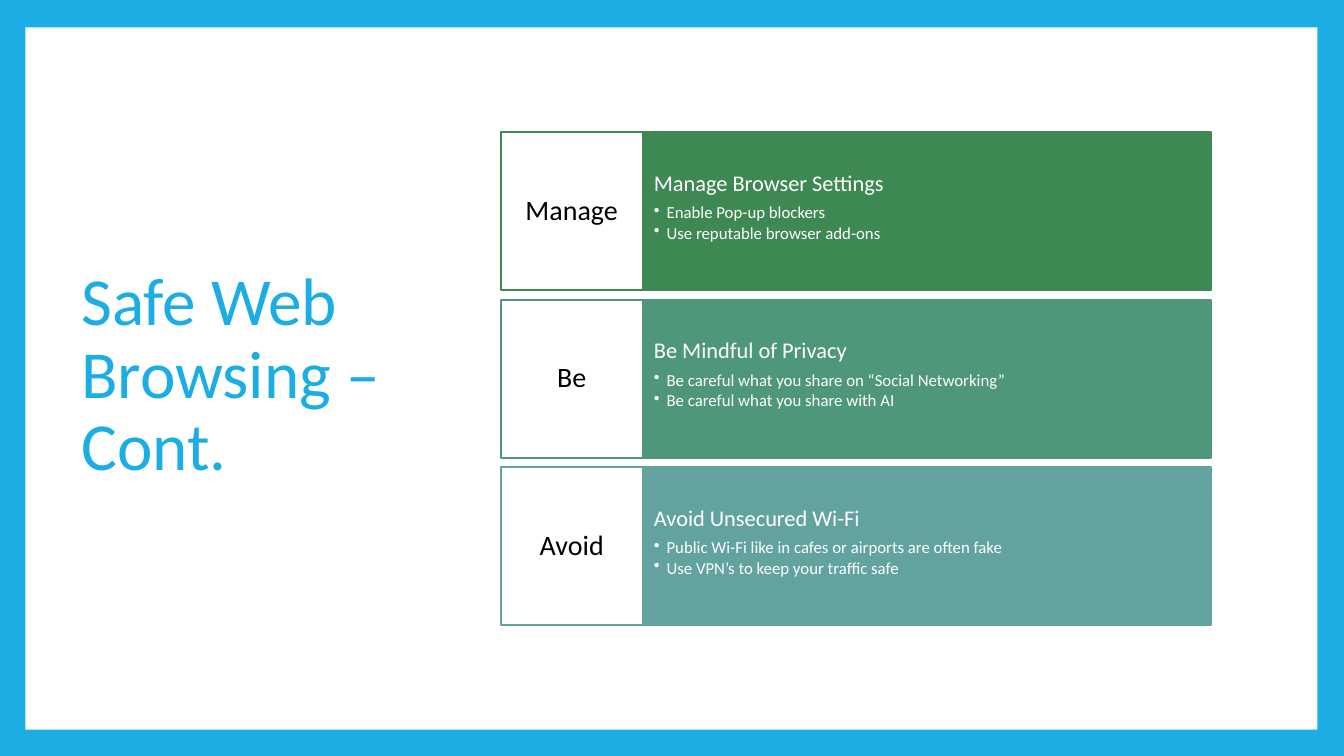
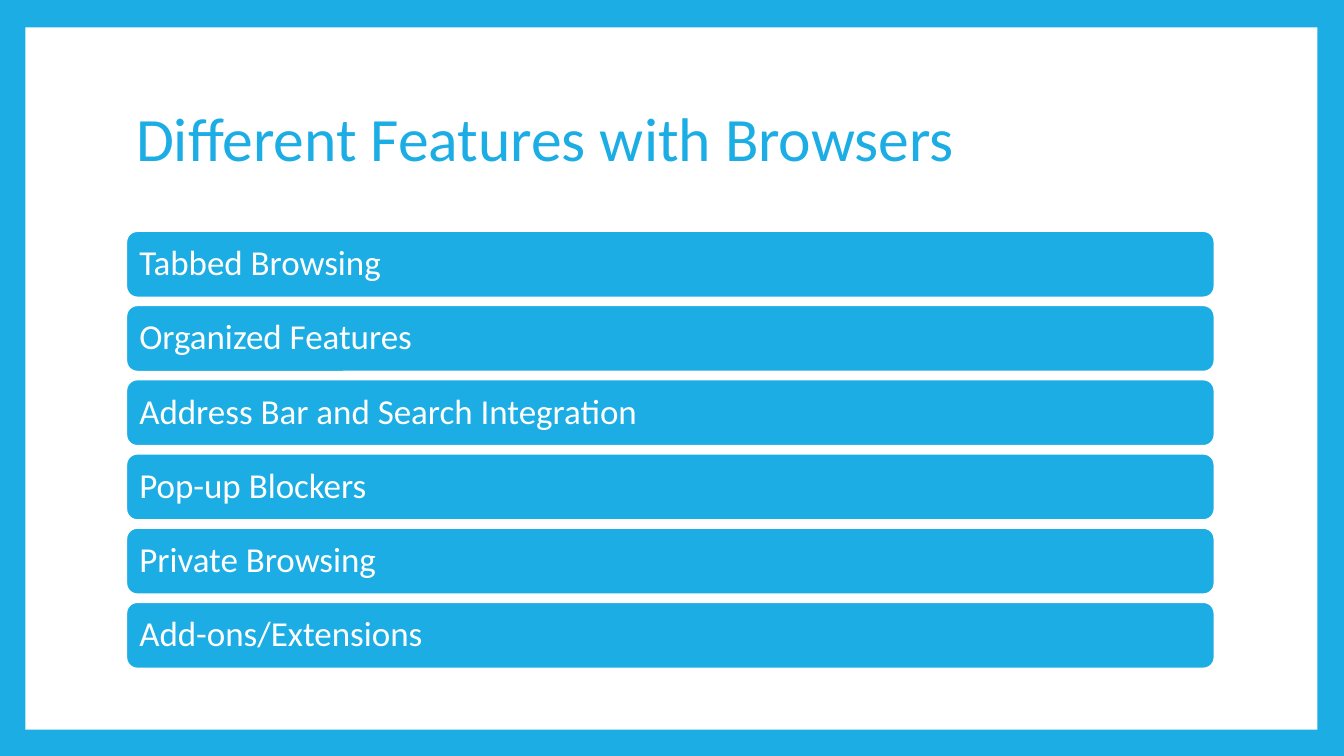
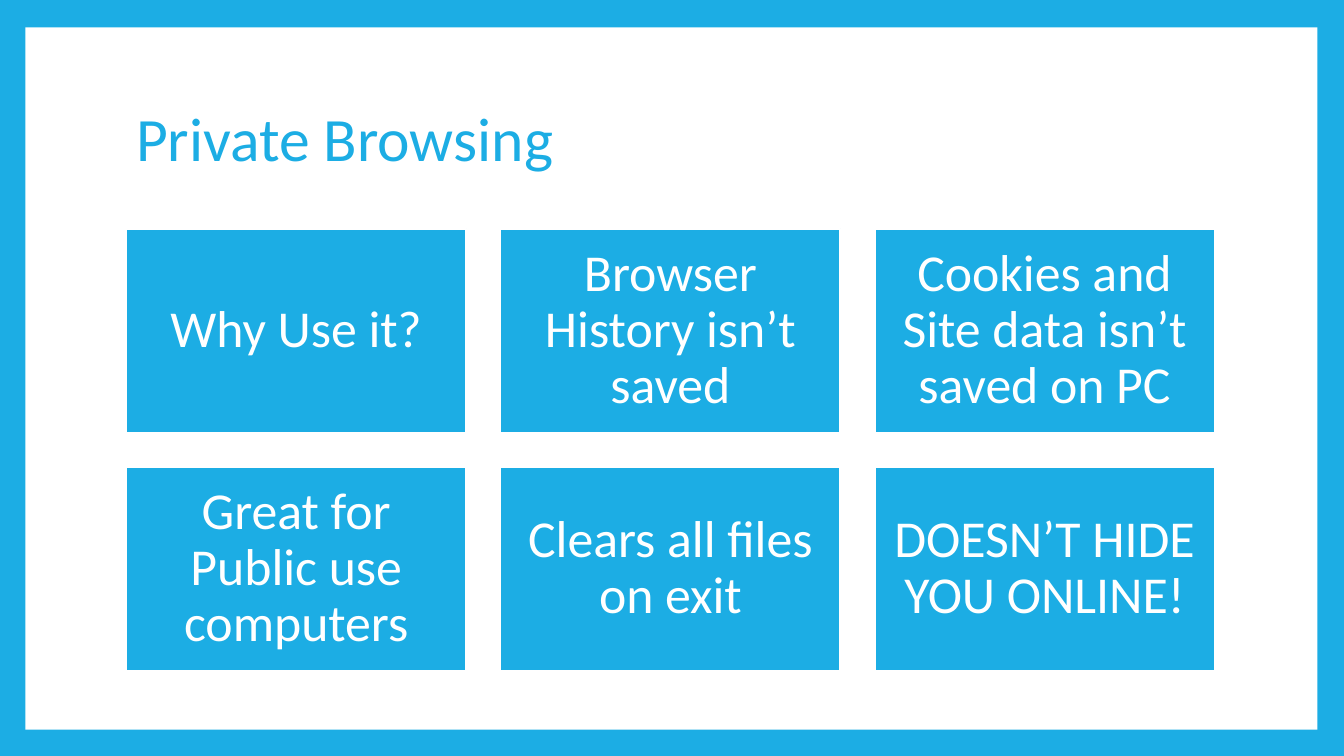
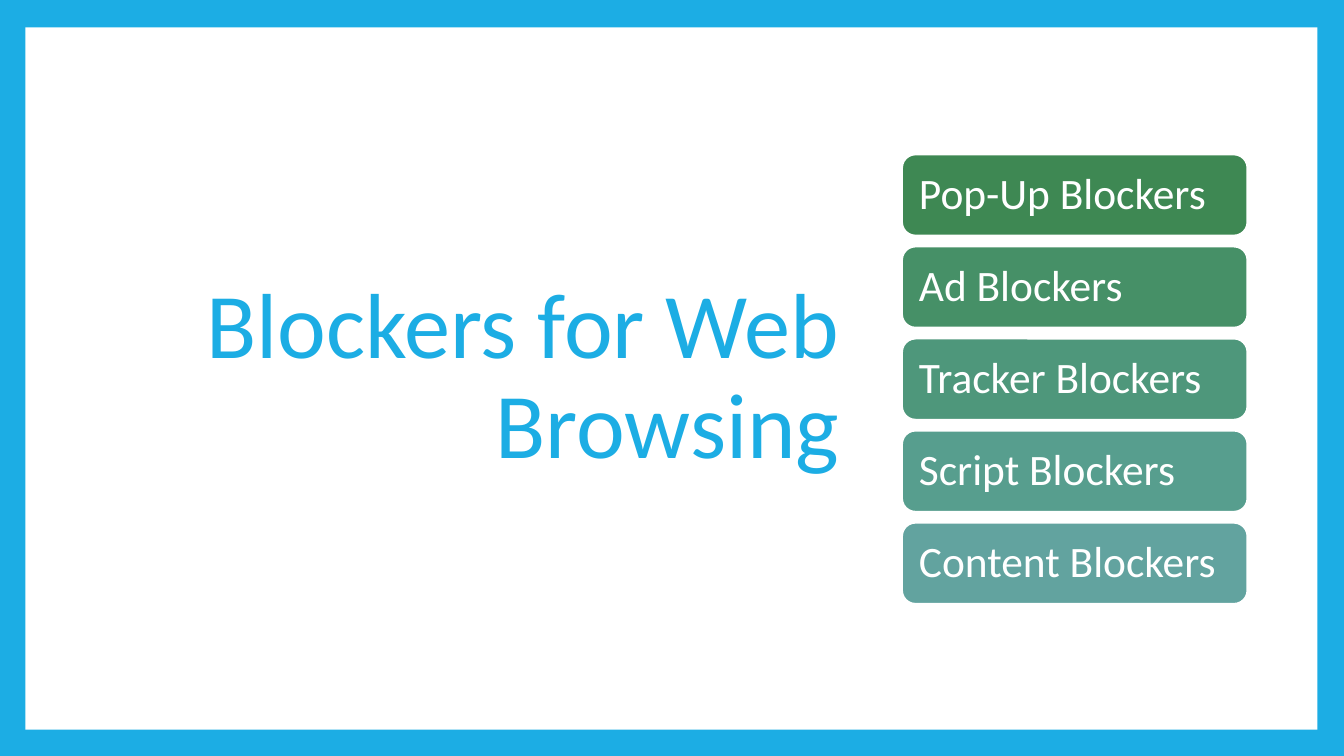
from dataclasses import dataclass
from typing import Any, Iterator, NamedTuple

from lxml.etree import SubElement
from pptx import Presentation
from pptx.dml.color import RGBColor
from pptx.enum.shapes import MSO_SHAPE
from pptx.enum.text import MSO_ANCHOR, PP_ALIGN
from pptx.oxml.ns import qn
from pptx.util import Cm, Pt


@dataclass(frozen=True)
class Theme:
    font: str = "Calibri"
    blue: RGBColor = RGBColor(0x1C, 0xAD, 0xE4)
    white: RGBColor = RGBColor(0xFF, 0xFF, 0xFF)
    black: RGBColor = RGBColor(0x00, 0x00, 0x00)
    greens: tuple[RGBColor, ...] = tuple(
        RGBColor.from_string(shade)
        for shade in ("3E8853", "469067", "4E977B", "579E8E", "62A39F")
    )
    outline: float = 1.5
    side_title: int = 48
    top_title: int = 44
    large_title: int = 66
    topic: int = 20
    heading: int = 16
    detail: int = 12
    feature: int = 25
    card: int = 37
    blocker: int = 31


THEME = Theme()


class Area(NamedTuple):
    left: float
    top: float
    width: float
    height: float


class Line(NamedTuple):
    text: str
    size: int
    color: RGBColor = THEME.white
    align: PP_ALIGN = PP_ALIGN.LEFT
    space_after: float = 0
    bullet: bool = False


@dataclass(frozen=True)
class Block:
    area: Area
    fill: RGBColor
    outline: RGBColor | None
    lines: tuple[Line, ...] = ()
    shape: MSO_SHAPE = MSO_SHAPE.RECTANGLE
    margins: tuple[float, float] = (0.25, 0.13)
    anchor: MSO_ANCHOR = MSO_ANCHOR.MIDDLE


class Advice(NamedTuple):
    topic: str
    heading: str
    details: tuple[str, ...]


PANEL = Area(0.64, 0.69, 32.56, 17.7)
TOP_TITLE = Area(3.18, 1.7, 27.43, 3.76)

ADVICE = (
    Advice("Manage", "Manage Browser Settings",
           ("Enable Pop-up blockers", "Use reputable browser add-ons")),
    Advice("Be", "Be Mindful of Privacy",
           ("Be careful what you share on “Social Networking”",
            "Be careful what you share with AI")),
    Advice("Avoid", "Avoid Unsecured Wi-Fi",
           ("Public Wi-Fi like in cafes or airports are often fake",
            "Use VPN’s to keep your traffic safe")),
)
FEATURES = (
    "Tabbed Browsing", "Organized Features", "Address Bar and Search Integration",
    "Pop-up Blockers", "Private Browsing", "Add-ons/Extensions",
)
PRIVATE_FACTS = (
    "Why Use it?", "Browser History isn’t saved",
    "Cookies and Site data isn’t saved on PC",
    "Great for Public use computers", "Clears all files on exit",
    "DOESN’T HIDE YOU ONLINE!",
)
BLOCKERS = (
    "Pop-Up Blockers", "Ad Blockers", "Tracker Blockers",
    "Script Blockers", "Content Blockers",
)


def apply(target: Any, values: dict[str, Any]) -> None:
    for name, value in values.items():
        setattr(target, name, value)


def lengths(area: Area) -> tuple[Cm, ...]:
    return tuple(Cm(value) for value in area)


def grid(first: Area, count: int, row_step: float,
         columns: int = 1, column_step: float = 0) -> Iterator[Area]:
    for index in range(count):
        row, column = divmod(index, columns)
        yield first._replace(left=first.left + column * column_step,
                             top=first.top + row * row_step)


def add_bullet(para: Any) -> None:
    para.level = 1
    properties = para._p.get_or_add_pPr()
    indent = Cm(0.32)
    properties.set("marL", str(indent))
    properties.set("indent", str(-indent))
    SubElement(properties, qn("a:buChar")).set("char", "•")


def write_lines(frame: Any, lines: tuple[Line, ...], margins: tuple[float, float],
                anchor: MSO_ANCHOR) -> None:
    across, down = (Cm(margin) for margin in margins)
    apply(frame, {
        "word_wrap": True, "vertical_anchor": anchor,
        "margin_left": across, "margin_right": across,
        "margin_top": down, "margin_bottom": down,
    })
    for index, line in enumerate(lines):
        para = frame.add_paragraph() if index else frame.paragraphs[0]
        if line.bullet:
            add_bullet(para)
        apply(para, {"alignment": line.align, "line_spacing": 0.9,
                     "space_after": Pt(line.space_after)})
        span = para.add_run()
        span.text = line.text
        apply(span.font, {"name": THEME.font, "size": Pt(line.size)})
        span.font.color.rgb = line.color


def add_block(page: Any, block: Block) -> None:
    box = page.shapes.add_shape(block.shape, *lengths(block.area))
    box.shadow.inherit = False
    box.fill.solid()
    box.fill.fore_color.rgb = block.fill
    if block.outline is None:
        box.line.fill.background()
    else:
        box.line.color.rgb = block.outline
        box.line.width = Pt(THEME.outline)
    write_lines(box.text_frame, block.lines, block.margins, block.anchor)


def add_page(deck: Any, title: str, area: Area, size: int,
             align: PP_ALIGN = PP_ALIGN.LEFT) -> Any:
    page = deck.slides.add_slide(deck.slide_layouts[6])
    add_block(page, Block(PANEL, THEME.white, None))
    box = page.shapes.add_textbox(*lengths(area))
    write_lines(box.text_frame, (Line(title, size, THEME.blue, align),),
                (0.25, 0.13), MSO_ANCHOR.MIDDLE)
    return page


def add_bars(page: Any, texts: tuple[str, ...], first: Area, step: float,
             size: int, margin: float, colors: tuple[RGBColor, ...]) -> None:
    for text, area, color in zip(texts, grid(first, len(texts), step), colors):
        add_block(page, Block(area, color, THEME.white, (Line(text, size),),
                              MSO_SHAPE.ROUNDED_RECTANGLE, (margin, margin)))


def build_safe_browsing(deck: Any) -> None:
    page = add_page(deck, "Safe Web Browsing – Cont.",
                    Area(1.8, 1.7, 9.35, 15.57), THEME.side_title)
    areas = grid(Area(12.62, 3.33, 3.58, 3.99), len(ADVICE), 4.22)
    for advice, area, color in zip(ADVICE, areas, THEME.greens[::2]):
        details = tuple(Line(text, THEME.detail, space_after=1.8, bullet=True)
                        for text in advice.details)
        heading = Line(advice.heading, THEME.heading, space_after=5.6)
        body = area._replace(left=area.left + area.width, width=14.33)
        add_block(page, Block(body, color, color, (heading, *details),
                              margins=(0.28, 1.01), anchor=MSO_ANCHOR.TOP))
        topic = Line(advice.topic, THEME.topic, THEME.black, PP_ALIGN.CENTER)
        add_block(page, Block(area, THEME.white, color, (topic,),
                              margins=(0.18, 0.38)))


def build_features(deck: Any) -> None:
    page = add_page(deck, "Different Features with Browsers",
                    TOP_TITLE, THEME.top_title)
    add_bars(page, FEATURES, Area(3.18, 5.82, 27.43, 1.68), 1.87,
             THEME.feature, 0.25, (THEME.blue,) * len(FEATURES))


def build_private_browsing(deck: Any) -> None:
    page = add_page(deck, "Private Browsing", TOP_TITLE, THEME.top_title)
    areas = grid(Area(3.18, 5.77, 8.57, 5.14), len(PRIVATE_FACTS), 6, 3, 9.43)
    for fact, area in zip(PRIVATE_FACTS, areas):
        line = Line(fact, THEME.card, align=PP_ALIGN.CENTER)
        add_block(page, Block(area, THEME.blue, THEME.white, (line,),
                              margins=(0.38, 0.38)))


def build_blockers(deck: Any) -> None:
    page = add_page(deck, "Blockers for Web Browsing",
                    Area(2.44, 2.44, 18.97, 14.22), THEME.large_title,
                    PP_ALIGN.RIGHT)
    add_bars(page, BLOCKERS, Area(22.73, 3.89, 8.71, 2.05), 2.32,
             THEME.blocker, 0.33, THEME.greens)


def main() -> None:
    deck = Presentation()
    apply(deck, {"slide_width": Cm(33.87), "slide_height": Cm(19.05)})
    background = deck.slide_master.background.fill
    background.solid()
    background.fore_color.rgb = THEME.blue
    for build in (build_safe_browsing, build_features,
                  build_private_browsing, build_blockers):
        build(deck)
    deck.save("out.pptx")


if __name__ == "__main__":
    main()
